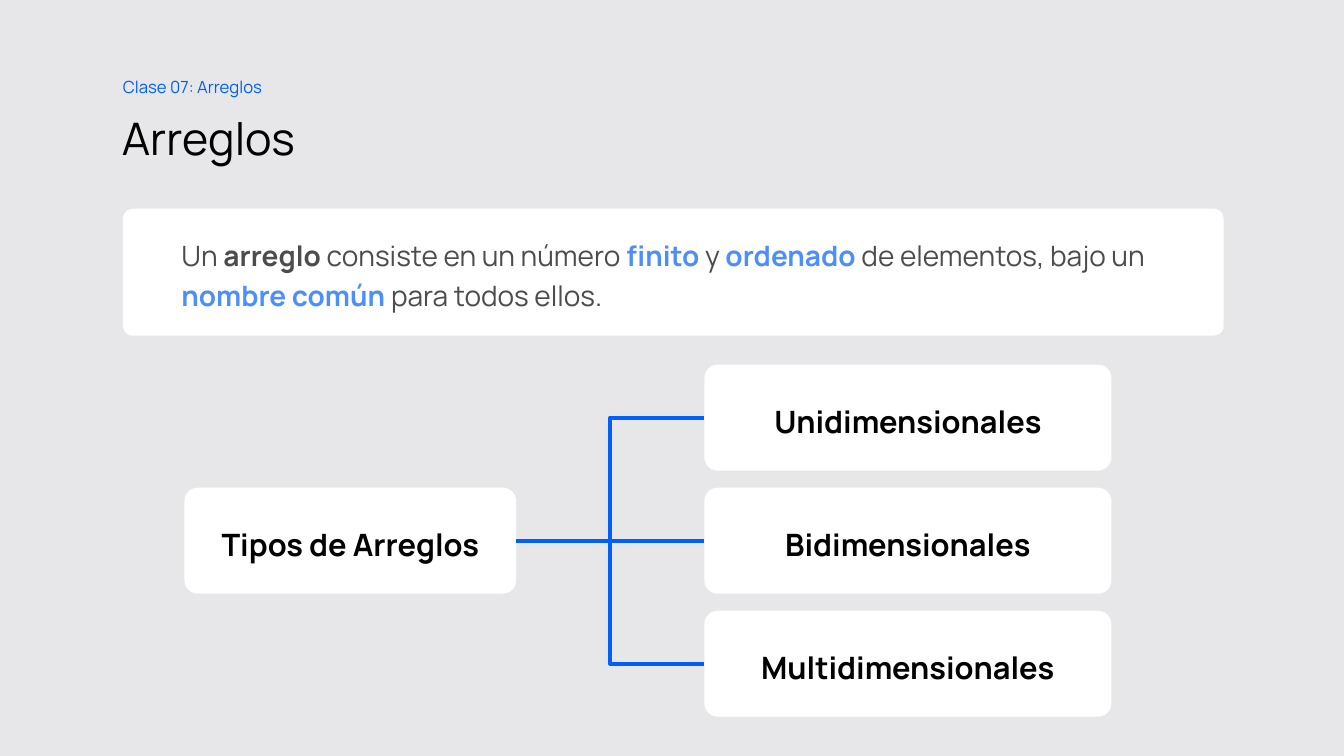
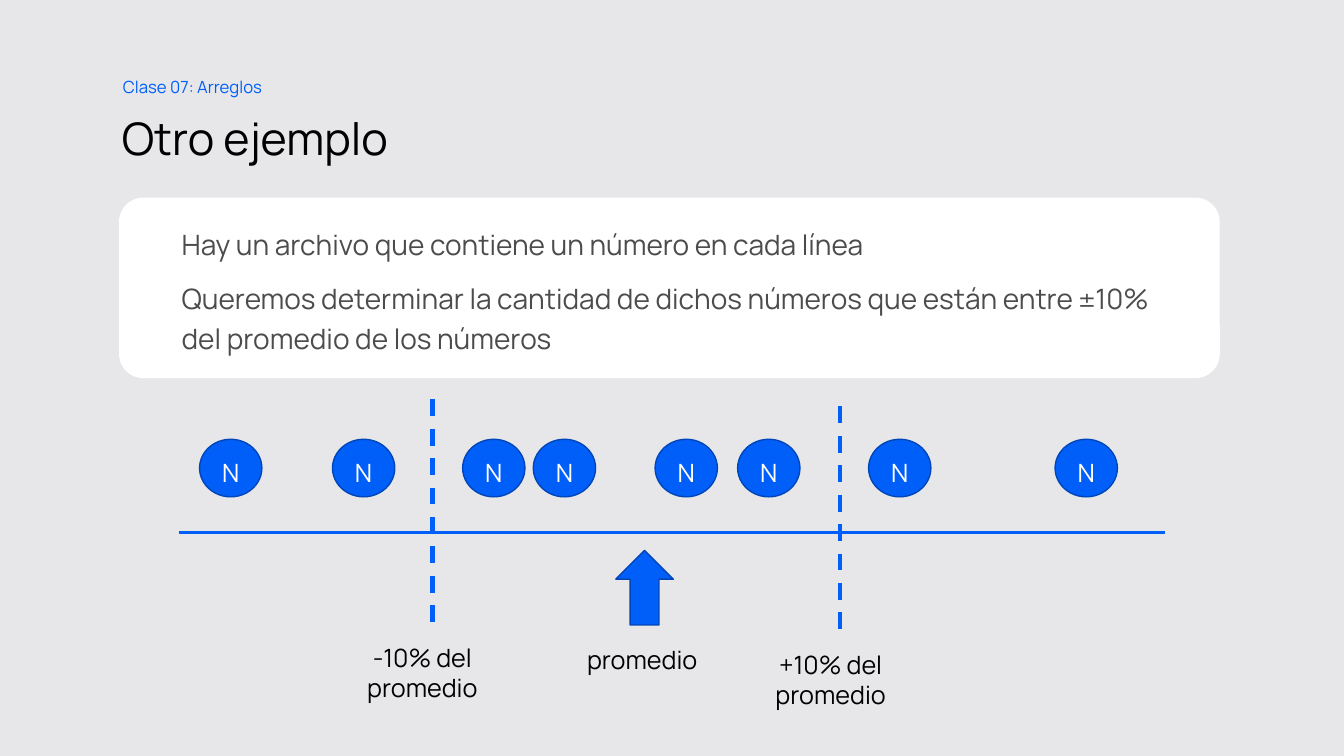
"""Build two class slides on arrays: their types and a worked example."""
from dataclasses import dataclass

from lxml.etree import SubElement
from pptx import Presentation
from pptx.dml.color import RGBColor
from pptx.enum.dml import MSO_LINE
from pptx.enum.shapes import MSO_CONNECTOR, MSO_SHAPE
from pptx.enum.text import MSO_ANCHOR, MSO_AUTO_SIZE, PP_ALIGN
from pptx.oxml.ns import qn
from pptx.util import Cm, Pt


@dataclass(frozen=True)
class Theme:
    font: str = "Manrope"
    back: str = "E7E7E9"
    card: str = "FFFFFF"
    ink: str = "000000"
    soft: str = "4C4C4C"
    blue: str = "005FF9"
    pale: str = "4C8EFA"
    edge: str = "0046B8"
    head: int = 32
    node: int = 22
    body: int = 20
    label: int = 18
    small: int = 12


T = Theme()

CLASS = "Clase 07: Arreglos"
TYPES = {
    "title": "Arreglos",
    "box": (3.1, 5.26, 27.74, 3.2),
    "curve": 0.079,
    "text": [[
        ("Un ", T.soft, False), ("arreglo", T.soft, True),
        (" consiste en un número ", T.soft, False), ("finito", T.pale, True),
        (" y ", T.soft, False), ("ordenado", T.pale, True),
        (" de elementos, bajo un ", T.soft, False),
        ("nombre común ", T.pale, True), ("para todos ellos.", T.soft, False),
    ]],
}
SAMPLE = {
    "title": "Otro ejemplo",
    "box": (3, 4.98, 27.74, 4.55),
    "curve": 0.135,
    "text": [
        [("Hay un archivo que contiene un número en cada línea", T.soft, False)],
        [("Queremos determinar la cantidad de dichos números que están "
          "entre ±10% del promedio de los números", T.soft, False)],
    ],
}
ROOT = "Tipos de Arreglos"
LEAVES = ["Unidimensionales", "Bidimensionales", "Multidimensionales"]
DOTS = [5.03, 8.38, 11.66, 13.44, 16.51, 18.59, 21.89, 26.59]
BOUNDS = [(10.9, 10.06), (21.16, 10.24)]
LABELS = [
    ("-10% del promedio", 8.23, 16.05, 1.8),
    ("promedio", 13.77, 16.1, 1.02),
    ("+10% del promedio", 18.52, 16.23, 1.8),
]


def color(code):
    return RGBColor.from_string(code)


def style(para, size, ink, bold=False, align=PP_ALIGN.LEFT, space=None):
    para.alignment = align
    para.line_spacing = space
    font = para.font
    font.name, font.size, font.bold = T.font, Pt(size), bold
    font.color.rgb = color(ink)


def inset(frame, left, top, right, low):
    frame.margin_left, frame.margin_top = Cm(left), Cm(top)
    frame.margin_right, frame.margin_bottom = Cm(right), Cm(low)


def place(shape, x, y, wide, high):
    shape.left, shape.top = Cm(x), Cm(y)
    shape.width, shape.height = Cm(wide), Cm(high)


def draw(slide, kind, spot, fill, edge=None):
    shape = slide.shapes.add_shape(kind, *map(Cm, spot))
    shape.shadow.inherit = False
    shape.fill.solid()
    shape.fill.fore_color.rgb = color(fill)
    if edge:
        shape.line.color.rgb = color(edge)
        shape.line.width = Pt(1)
    else:
        shape.line.fill.background()
    frame = shape.text_frame
    frame.word_wrap = True
    frame.vertical_anchor = MSO_ANCHOR.MIDDLE
    return shape


def link(slide, kind, ends=(0, 0, 0, 0), width=3):
    line = slide.shapes.add_connector(kind, *map(Cm, ends))
    line.line.color.rgb = color(T.blue)
    line.line.width = Pt(width)
    SubElement(line._element.spPr, qn("a:effectLst"))
    return line


def write(slide, text, spot, size, ink, align, space=None, wrap=True):
    frame = slide.shapes.add_textbox(*map(Cm, spot)).text_frame
    frame.word_wrap = wrap
    frame.text = text
    style(frame.paragraphs[0], size, ink, align=align, space=space)
    return frame


def panel(slide, spot, curve, paras):
    shape = draw(slide, MSO_SHAPE.ROUNDED_RECTANGLE, spot, T.card)
    shape.adjustments[0] = curve
    frame = shape.text_frame
    inset(frame, 1.4, 0, 0.76, 0)
    for rank, runs in enumerate(paras):
        para = frame.add_paragraph() if rank else frame.paragraphs[0]
        style(para, T.body, T.soft, space=1.2)
        if rank:
            para.space_before = Pt(10)
        for text, ink, bold in runs:
            run = para.add_run()
            run.text = text
            run.font.bold = bold
            run.font.color.rgb = color(ink)


def start(deck, layout, page):
    slide = deck.slides.add_slide(layout)
    title = slide.shapes.title.text_frame
    title.text = page["title"]
    style(title.paragraphs[0], T.head, T.ink, space=0.9)
    small = write(slide, CLASS, (3.1, 1.7, 4.1, 0.86), T.small, T.blue,
                  PP_ALIGN.LEFT, 1.2, False)
    inset(small, 0, 0.13, 0.25, 0.13)
    panel(slide, page["box"], page["curve"], page["text"])
    return slide


def node(slide, text, x, y, wide):
    shape = draw(slide, MSO_SHAPE.ROUNDED_RECTANGLE, (x, y, wide, 2.67), T.card)
    shape.adjustments[0] = 0.126
    frame = shape.text_frame
    inset(frame, 0, 0, 0, 0)
    frame.text = text
    style(frame.paragraphs[0], T.node, T.ink, True, PP_ALIGN.CENTER, 1.2)
    return shape


def tree(slide):
    top, step = 9.19, 3.1
    mid = len(LEAVES) // 2
    root = node(slide, ROOT, 4.65, top + mid * step, 8.36)
    for rank, text in enumerate(LEAVES):
        leaf = node(slide, text, 17.75, top + rank * step, 10.26)
        kind = MSO_CONNECTOR.STRAIGHT if rank == mid else MSO_CONNECTOR.ELBOW
        line = link(slide, kind)
        line.begin_connect(root, 3)
        line.end_connect(leaf, 1)


def scale(slide):
    link(slide, MSO_CONNECTOR.STRAIGHT, (4.5, 13.41, 29.36, 13.41), 2.25)
    draw(slide, MSO_SHAPE.UP_ARROW, (15.52, 13.87, 1.45, 1.88), T.blue, T.edge)
    for x in DOTS:
        dot = draw(slide, MSO_SHAPE.OVAL, (x, 11.07, 1.57, 1.45), T.blue, T.edge)
        frame = dot.text_frame
        inset(frame, 0.25, 0.2, 0.25, 0)
        frame.text = "N"
        style(frame.paragraphs[0], T.label, T.card, align=PP_ALIGN.CENTER)
    for x, y in BOUNDS:
        line = link(slide, MSO_CONNECTOR.STRAIGHT, (x, y, x, y + 5.68))
        line.line.dash_style = MSO_LINE.DASH
    for text, x, y, high in LABELS:
        write(slide, text, (x, y, 4.83, high), T.label, T.ink, PP_ALIGN.CENTER)


def main():
    deck = Presentation()
    deck.slide_width, deck.slide_height = Cm(33.87), Cm(19.05)
    fill = deck.slide_master.background.fill
    fill.solid()
    fill.fore_color.rgb = color(T.back)
    layout = deck.slide_layouts.get_by_name("Title Only")
    title = layout.placeholders[0]
    place(title, 3.07, 2.54, 27.56, 1.9)
    frame = title.text_frame
    inset(frame, 0, 0.25, 0.25, 0.13)
    frame.vertical_anchor = MSO_ANCHOR.MIDDLE
    frame.auto_size = MSO_AUTO_SIZE.NONE
    tree(start(deck, layout, TYPES))
    scale(start(deck, layout, SAMPLE))
    deck.save("out.pptx")


if __name__ == "__main__":
    main()
